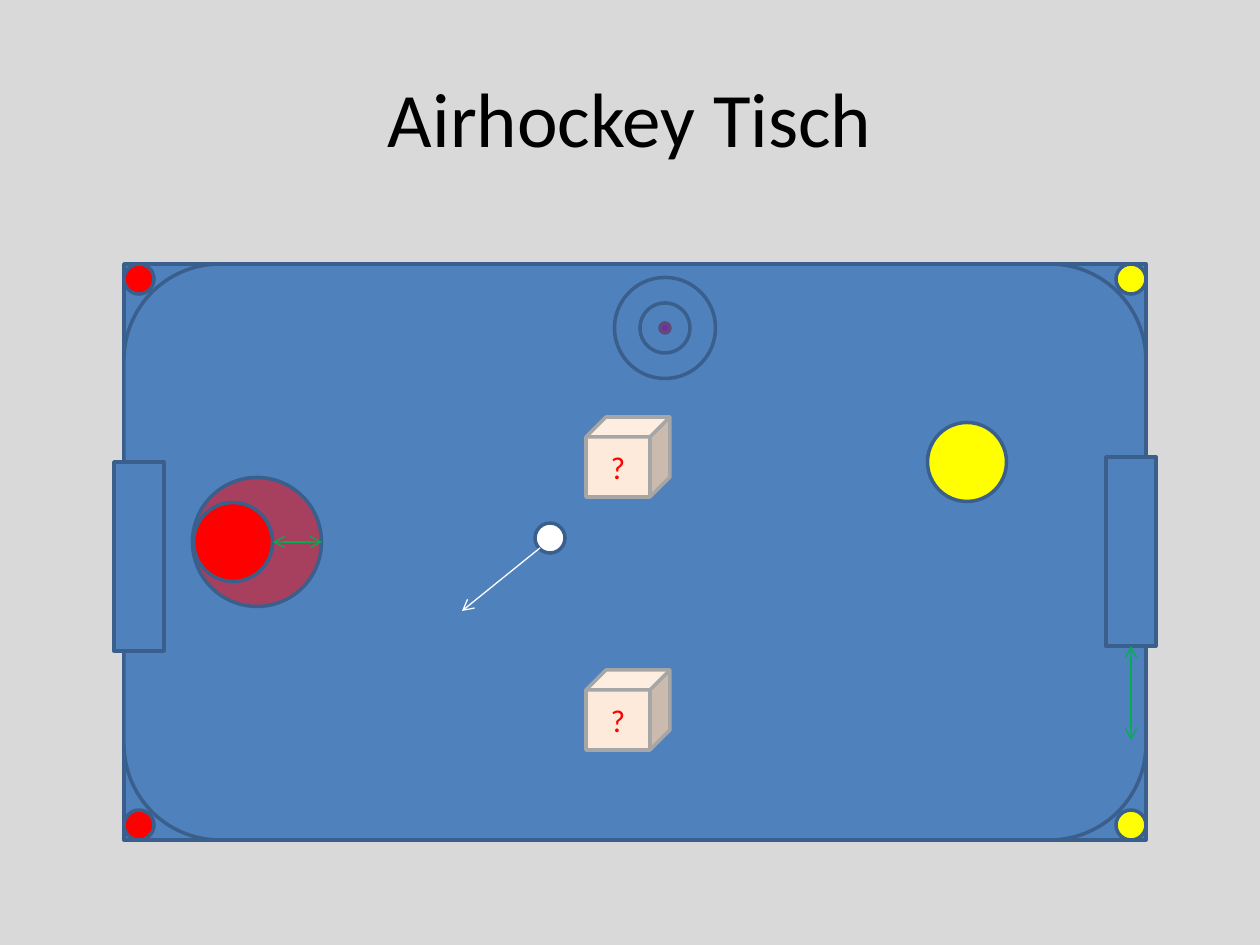
import pptx
import pptx.util
import pptx.dml.color
import pptx.enum.shapes
import pptx.enum.text
import pptx.oxml
import pptx.oxml.ns
from lxml import etree

SCALE = 914400 / 126
SHAPES = pptx.enum.shapes.MSO_SHAPE
BLUE, EDGE = "4F81BD", "3A5F8C"
RED, YELLOW, WHITE, GREEN = "FF0000", "FFFF00", "FFFFFF", "00B050"


def emu(pixels):
    """Turn pixels into EMU."""
    return pptx.util.Emu(round(pixels * SCALE))


def color(value):
    """Turn a hex string into a colour."""
    return pptx.dml.color.RGBColor.from_string(value)


def add_node(parent, tag, **attributes):
    """Append a drawing element to an XML parent."""
    return etree.SubElement(parent, pptx.oxml.ns.qn(tag), **attributes)


def add_body(page, kind, box, fill=None, edge=EDGE, opacity=None):
    """Add a filled, outlined shape in a left, top, width, height box."""
    shape = page.shapes.add_shape(kind, *map(emu, box))
    shape.shadow.inherit = False
    if fill:
        shape.fill.solid()
        shape.fill.fore_color.rgb = color(fill)
        if opacity:
            tint = shape.fill._xPr.find(".//" + pptx.oxml.ns.qn("a:srgbClr"))
            add_node(tint, "a:alpha", val=str(opacity * 1000))
    else:
        shape.fill.background()
    shape.line.color.rgb = color(edge)
    shape.line.width = pptx.util.Pt(2)
    return shape


def add_disc(page, x, y, size, fill=None, edge=EDGE, opacity=None):
    """Add a circle around a centre point."""
    box = (x - size / 2, y - size / 2, size, size)
    return add_body(page, SHAPES.OVAL, box, fill, edge, opacity)


def add_arrow(page, start, end, shade, double=False):
    """Add a thin arrow, pointed at its end or at both ends."""
    arrow = page.shapes.add_connector(
        pptx.enum.shapes.MSO_CONNECTOR.STRAIGHT, *map(emu, start + end))
    arrow.line.color.rgb = color(shade)
    arrow.line.width = pptx.util.Pt(0.75)
    outline = arrow.line._get_or_add_ln()
    for tag in ("a:headEnd", "a:tailEnd") if double else ("a:tailEnd",):
        add_node(outline, tag, type="arrow")
    add_node(arrow._element.spPr, "a:effectLst")


def add_text(shape, text, size, shade):
    """Write one centred run into a shape."""
    frame = shape.text_frame
    frame.word_wrap = True
    frame.vertical_anchor = pptx.enum.text.MSO_ANCHOR.MIDDLE
    para = frame.paragraphs[0]
    para.alignment = pptx.enum.text.PP_ALIGN.CENTER
    span = para.add_run()
    span.text = text
    span.font.name = "Calibri"
    span.font.size = pptx.util.Pt(size)
    span.font.color.rgb = color(shade)


def add_title(page, box):
    """Place and format the title."""
    title = page.shapes.title
    title.left, title.top, title.width, title.height = map(emu, box)
    add_text(title, "Airhockey Tisch", 44, "000000")


def add_table_top(page, box):
    """Draw the table and its rounded playing field."""
    for kind in (SHAPES.RECTANGLE, SHAPES.ROUNDED_RECTANGLE):
        add_body(page, kind, box, BLUE)


def add_corners(page, box):
    """Put a player-coloured disc in each corner of the table."""
    left, top, width, height = box
    size = 30
    for x, fill in ((left + size / 2, RED), (left + width - size / 2, YELLOW)):
        for y in (top + size / 2, top + height - size / 2):
            add_disc(page, x, y, size, fill)


def add_players(page, box):
    """Draw both mallets, the red reach and the puck with its direction."""
    left, top = box[:2]
    middle = top + 278
    add_disc(page, left + 133, middle, 129, RED, opacity=50)
    add_disc(page, left + 109, middle, 79, RED)
    add_disc(page, left + 843, top + 198, 79, YELLOW)
    add_disc(page, left + 426, top + 274, 30, WHITE)
    add_arrow(page, (left + 416, top + 284), (left + 338, top + 347), WHITE)
    add_arrow(page, (left + 149, middle), (left + 198, middle), GREEN, True)


def add_goals(page, box):
    """Draw the two goals and the range arrow under the right one."""
    left, top, width = box[:3]
    goal_width, goal_height = 50, 189
    for x, y in ((left - 10, top + 198), (left + width - 40, top + 193)):
        add_body(page, SHAPES.RECTANGLE, (x, y, goal_width, goal_height), BLUE)
    x, y = x + goal_width / 2, y + goal_height
    add_arrow(page, (x, y), (x, y + 94), GREEN, True)


def add_target(page, box):
    """Draw a purple point with two rings around it."""
    x, y = box[0] + 541, box[1] + 64
    add_disc(page, x, y, 10, "7030A0", "604A7B")
    for size in (50, 101):
        add_disc(page, x, y, size)


def add_cubes(page, box):
    """Draw the two question-mark cubes."""
    for drop in (406, 153):
        place = (box[0] + 462, box[1] + drop, 84, 80)
        cube = add_body(page, SHAPES.CUBE, place, "FDEADA", "A6A6A6")
        add_text(cube, "?", 18, RED)


def build_slide(deck):
    """Build the air hockey slide."""
    page = deck.slides.add_slide(deck.slide_layouts[5])
    page.background.fill.solid()
    page.background.fill.fore_color.rgb = color("D9D9D9")
    add_title(page, (63, 38, 1134, 157))
    table = (124, 264, 1022, 576)
    for draw in (add_table_top, add_players, add_goals,
                 add_corners, add_target, add_cubes):
        draw(page, table)


deck = pptx.Presentation()
deck.slide_width, deck.slide_height = emu(1260), emu(945)
build_slide(deck)
deck.save("out.pptx")
